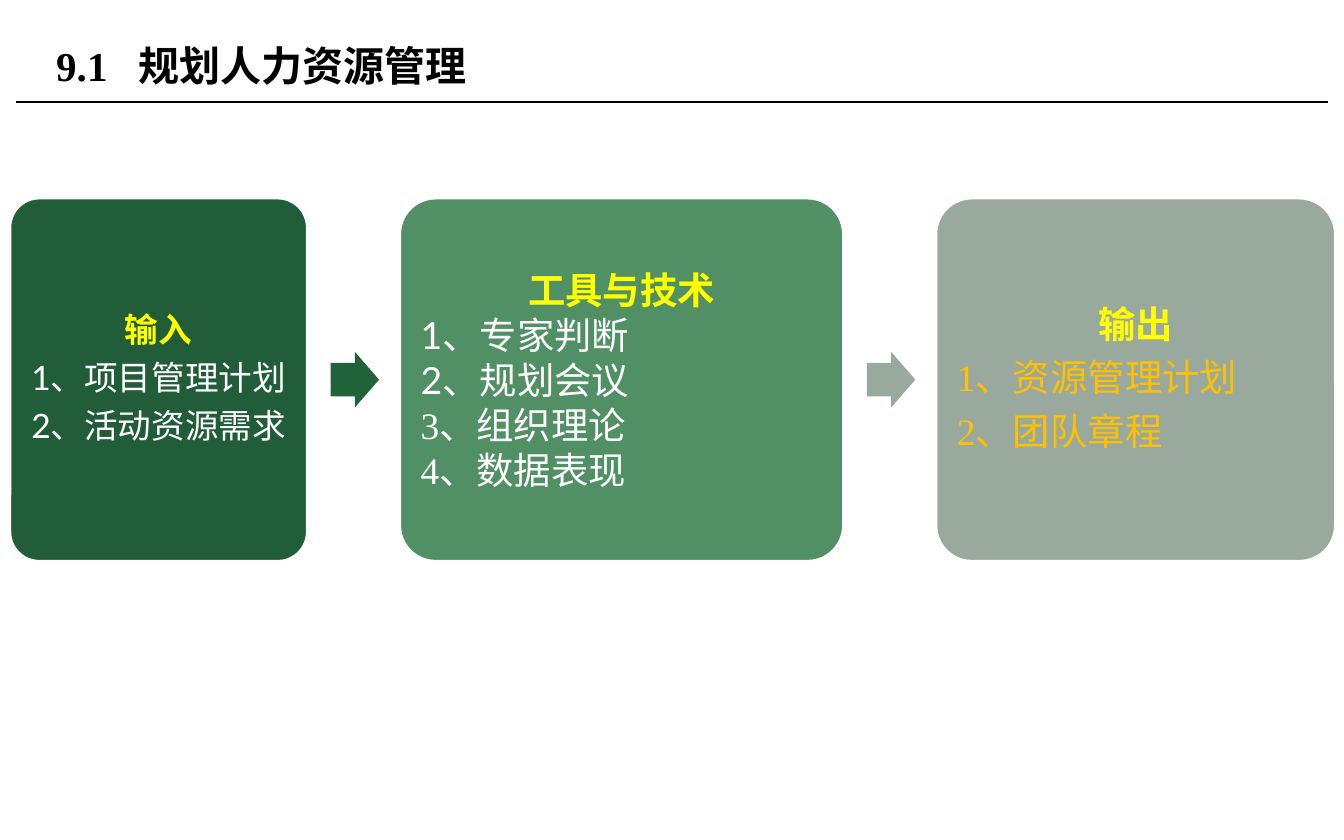
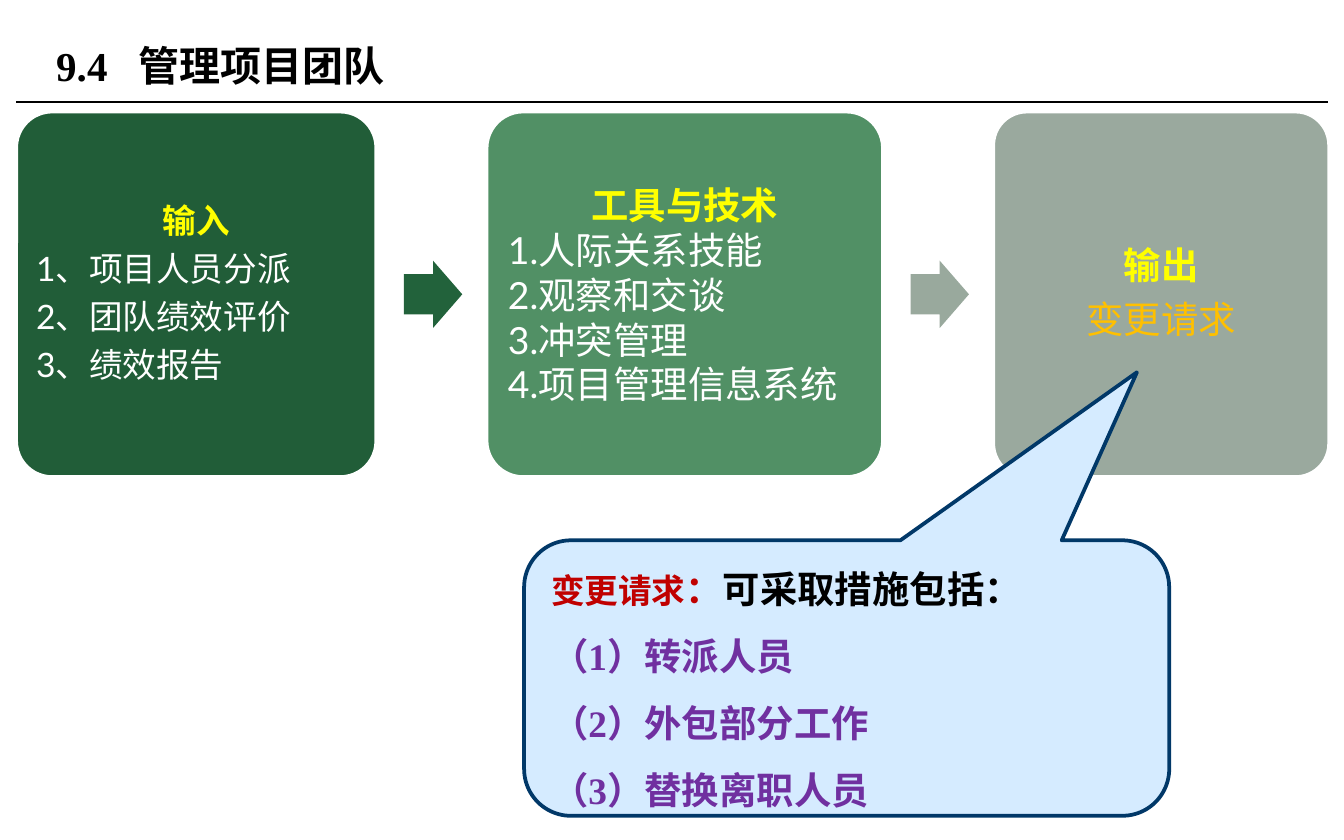
from lxml import etree
from pptx import Presentation
from pptx.dml.color import RGBColor
from pptx.enum import shapes, text
from pptx.oxml import ns
from pptx.util import Inches, Pt

LATO, TIMES = "Lato", "Times New Roman"
BLACK, WHITE, YELLOW, AMBER = "000000", "FFFFFF", "FFFF00", "FFC000"
RED, PURPLE = "C00000", "7030A0"
CALLOUT_FILL, CALLOUT_LINE = "D5EBFF", "013868"
PANEL_FILLS = ["215D38", "519065", "9AA99E"]
ARROW_FILLS = ["22623B", "99A99D"]
LEFT, CENTER = text.PP_ALIGN.LEFT, text.PP_ALIGN.CENTER
LOOSE = {"line_spacing": 0.9, "space": 0.35}
TIGHT = {"line_spacing": 1.0, "space": 0}


def color(hex_value):
    return RGBColor.from_string(hex_value)


def set_attrs(target, values):
    for name, value in values.items():
        setattr(target, name, value)


def add_run(p, words, size, font, fill, bold=False):
    r = p.add_run()
    r.text = words
    set_attrs(r.font, {"size": Pt(size), "name": font, "bold": bold})
    r.font.color.rgb = color(fill)


def set_frame(tf, margin_x=0.1, margin_y=0.05):
    set_attrs(tf, {
        "word_wrap": True,
        "vertical_anchor": text.MSO_ANCHOR.MIDDLE,
        "margin_left": Inches(margin_x),
        "margin_right": Inches(margin_x),
        "margin_top": Inches(margin_y),
        "margin_bottom": Inches(margin_y),
    })


def add_paragraphs(tf, count):
    return [tf.paragraphs[0]] + [tf.add_paragraph() for _ in range(count - 1)]


def add_preset(s, kind, box, fill, adjustments, line=None):
    sp = s.shapes.add_shape(kind, *map(Inches, box))
    sp.shadow.inherit = False
    sp.fill.solid()
    sp.fill.fore_color.rgb = color(fill)
    for i, value in enumerate(adjustments):
        sp.adjustments[i] = value
    if line:
        sp.line.color.rgb = color(line)
        sp.line.width = Pt(2)
    else:
        sp.line.fill.background()
    return sp


def add_title(s, number, title, box=(0.32, 0.13, 6.38, 0.71)):
    tf = s.shapes.add_textbox(*map(Inches, box)).text_frame
    set_frame(tf)
    p = tf.paragraphs[0]
    tabs = etree.SubElement(p._p.get_or_add_pPr(), ns.qn("a:tabLst"))
    etree.SubElement(tabs, ns.qn("a:tab"), pos=str(Inches(0.61)), algn="l")
    add_run(p, f"{number}\t{title}", 22, TIMES, BLACK, True)

    rule = s.shapes.add_connector(
        shapes.MSO_CONNECTOR.STRAIGHT,
        Inches(0.12), Inches(0.76), Inches(9.88), Inches(0.76))
    rule.line.color.rgb = color(BLACK)
    rule.line.width = Pt(0.75)
    etree.SubElement(rule._element.spPr, ns.qn("a:effectLst"))


def add_panel(s, box, fill, heading, items, size, spacing, align, ink=WHITE):
    sp = add_preset(s, shapes.MSO_SHAPE.ROUNDED_RECTANGLE, box, fill, [0.1], WHITE)
    tf = sp.text_frame
    margin = 0.07 if size == 18 else 0.08
    set_frame(tf, margin, margin)
    lines = [(heading, LATO, YELLOW, True, CENTER)]
    lines += [(item, font, ink, False, align) for item, font in items]
    for p, (words, font, fill, bold, side) in zip(add_paragraphs(tf, len(lines)), lines):
        set_attrs(p, {
            "alignment": side,
            "line_spacing": spacing["line_spacing"],
            "space_after": Pt(spacing["space"] * size),
        })
        add_run(p, words, size, font, fill, bold)


def add_flow(s, left, top, height, gap, widths, panels):
    for i, (width, panel) in enumerate(zip(widths, panels)):
        add_panel(s, (left, top, width, height), PANEL_FILLS[i], **panel)
        left += width
        if i < len(ARROW_FILLS):
            arrow_height = 0.61 * gap
            box = (left + 0.25 * gap, top + (height - arrow_height) / 2,
                   0.53 * gap, arrow_height)
            add_preset(s, shapes.MSO_SHAPE.RIGHT_ARROW, box, ARROW_FILLS[i], [0.6, 0.5])
        left += gap


def add_callout(s, box, lead, rest, measures):
    sp = add_preset(s, shapes.MSO_SHAPE.ROUNDED_RECTANGULAR_CALLOUT, box,
                    CALLOUT_FILL, [0.45, -1.11, 0.17], CALLOUT_LINE)
    set_frame(sp.text_frame)
    lines = [[(lead, 18, RED), ("：", 20, RED), (rest, 20, BLACK)]]
    lines += [[(f"（{i}）{measure}", 20, PURPLE)] for i, measure in enumerate(measures, 1)]
    for p, runs in zip(add_paragraphs(sp.text_frame, len(lines)), lines):
        set_attrs(p, {"alignment": LEFT, "line_spacing": 1.5})
        for words, size, fill in runs:
            add_run(p, words, size, TIMES, fill, True)


def describe(heading, items, size=20, spacing=LOOSE, align=LEFT, ink=WHITE):
    return {"heading": heading, "items": items, "size": size,
            "spacing": spacing, "align": align, "ink": ink}


def build_planning(s):
    add_title(s, "9.1", "规划人力资源管理")
    add_flow(s, 0.07, 1.47, 2.71, 0.68, [2.22, 3.31, 2.98], [
        describe("输入", [("1、项目管理计划", LATO), ("2、活动资源需求", LATO)],
                 size=18, align=CENTER),
        describe("工具与技术", [("1、专家判断", LATO), ("2、规划会议", LATO),
                           ("3、组织理论", TIMES), ("4、数据表现", TIMES)],
                 spacing=TIGHT),
        describe("输出", [("1、资源管理计划", TIMES), ("2、团队章程", TIMES)], ink=AMBER),
    ])


def build_managing(s):
    add_title(s, "9.4", "管理项目团队")
    add_flow(s, 0.12, 0.83, 2.72, 0.82, [2.68, 2.95, 2.5], [
        describe("输入", [("1、项目人员分派", LATO), ("2、团队绩效评价", LATO),
                        ("3、绩效报告", LATO)], size=18),
        describe("工具与技术", [("1.人际关系技能", LATO), ("2.观察和交谈", LATO),
                           ("3.冲突管理", LATO), ("4.项目管理信息系统", LATO)],
                 spacing=TIGHT),
        describe("输出", [("变更请求", TIMES)], align=CENTER, ink=AMBER),
    ])
    add_callout(s, (3.9, 4.02, 4.8, 2.05), "变更请求", "可采取措施包括：",
                ["转派人员", "外包部分工作", "替换离职人员"])


def main():
    prs = Presentation()
    prs.slide_width, prs.slide_height = Inches(10), Inches(6.25)
    for build in (build_planning, build_managing):
        build(prs.slides.add_slide(prs.slide_layouts[6]))
    prs.save("out.pptx")


if __name__ == "__main__":
    main()
